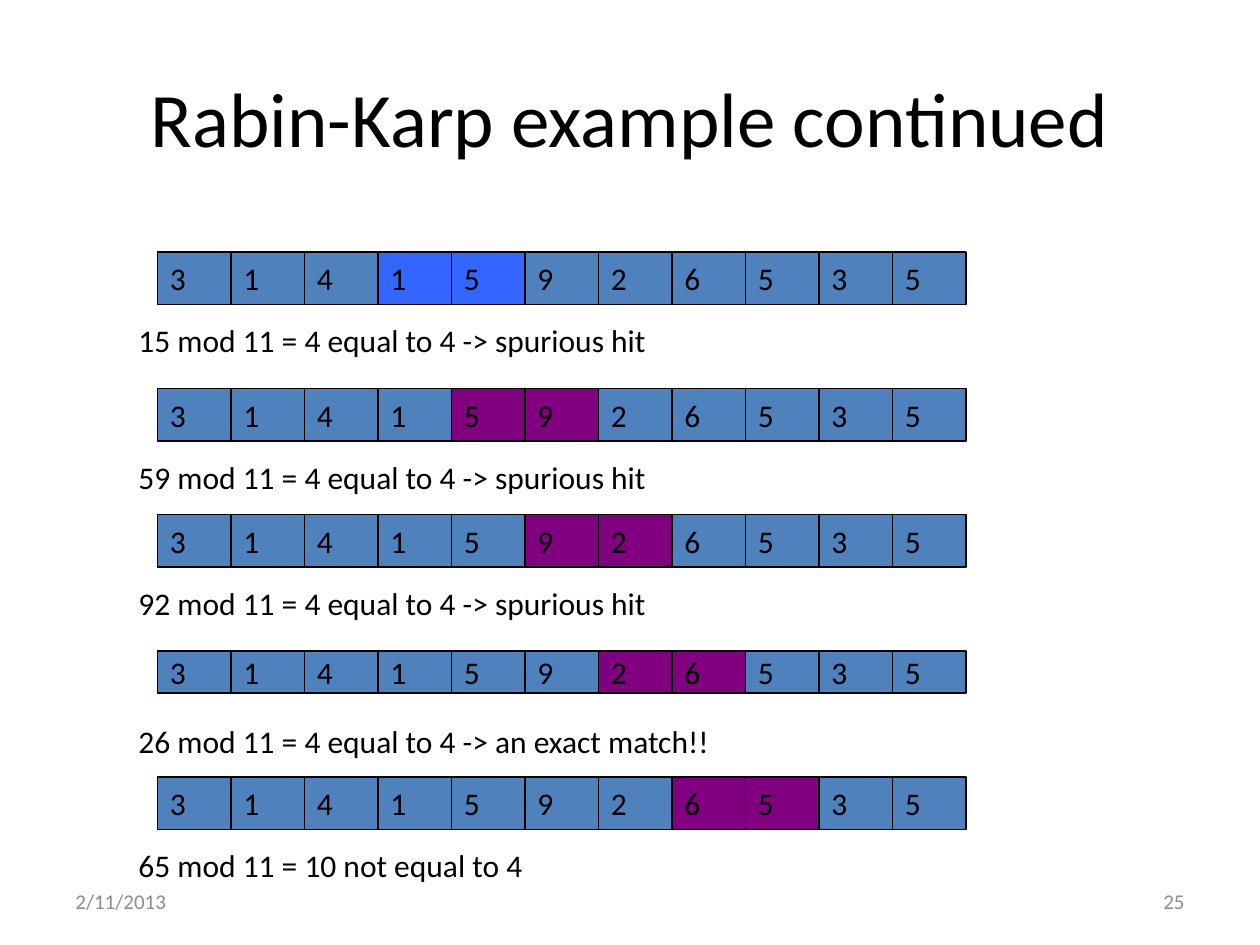
from dataclasses import dataclass

from pptx import Presentation
from pptx.dml.color import RGBColor
from pptx.enum import shapes, text
from pptx.util import Pt


@dataclass(frozen=True)
class Theme:
    font: str = "Calibri"
    title_size: int = 44
    body_size: int = 18
    footer_size: int = 12
    ink: str = "000000"
    muted: str = "8C8C8C"
    cell: str = "4F81BD"
    blue: str = "3366FF"
    purple: str = "800080"


THEME = Theme()
DIGITS = "31415926535"
WINDOW = 2
CELL_WIDTH = 42

# row top, row height, caption top, window start, window colour, caption
STEPS = [
    (144, 30, 180, 3, THEME.blue, "15 mod 11 = 4 equal to 4 -> spurious hit"),
    (222, 30, 258, 4, THEME.purple, "59 mod 11 = 4 equal to 4 -> spurious hit"),
    (294, 30, 330, 5, THEME.purple, "92 mod 11 = 4 equal to 4 -> spurious hit"),
    (372, 24, 409, 6, THEME.purple, "26 mod 11 = 4 equal to 4 -> an exact match!!"),
    (444, 30, 480, 7, THEME.purple, "65 mod 11 = 10 not equal to 4"),
]


def write(sp, words, size, color=THEME.ink, align=text.PP_ALIGN.LEFT,
          anchor=text.MSO_ANCHOR.MIDDLE, wrap=True):
    tf = sp.text_frame
    tf.text = words
    tf.word_wrap = wrap
    tf.vertical_anchor = anchor
    p = tf.paragraphs[0]
    p.alignment = align
    font = p.runs[0].font
    font.name = THEME.font
    font.size = Pt(size)
    font.color.rgb = RGBColor.from_string(color)


def add_label(s, box, words, size, **style):
    sp = s.shapes.add_textbox(*map(Pt, box))
    write(sp, words, size, **style)


def add_cell(s, box, digit, fill):
    sp = s.shapes.add_shape(shapes.MSO_SHAPE.RECTANGLE, *map(Pt, box))
    sp.shadow.inherit = False
    sp.fill.solid()
    sp.fill.fore_color.rgb = RGBColor.from_string(fill)
    sp.line.color.rgb = RGBColor.from_string(THEME.ink)
    sp.line.width = Pt(0.75)
    write(sp, digit, THEME.body_size, wrap=False)


def add_digit_row(s, box, start, window_color):
    """Draw all digits in equal cells, colouring the window that begins at start."""
    left, top, width, height = box
    step = width / len(DIGITS)
    for i, digit in enumerate(DIGITS):
        fill = window_color if start <= i < start + WINDOW else THEME.cell
        add_cell(s, (left + i * step, top, step, height), digit, fill)


def add_footer(s, box, date, number):
    left, top, width, height = box
    part = 168
    add_label(s, (left, top, part, height), date, THEME.footer_size, color=THEME.muted)
    add_label(s, (left + width - part, top, part, height), number, THEME.footer_size,
              color=THEME.muted, align=text.PP_ALIGN.RIGHT)


def main():
    prs = Presentation()
    prs.slide_width, prs.slide_height = Pt(720), Pt(540)
    s = prs.slides.add_slide(prs.slide_layouts[6])
    add_label(s, (36, 21.6, 648, 90), "Rabin-Karp example continued",
              THEME.title_size, align=text.PP_ALIGN.CENTER)
    for top, height, caption_top, start, color, caption in STEPS:
        add_digit_row(s, (90, top, CELL_WIDTH * len(DIGITS), height), start, color)
        add_label(s, (72, caption_top, 466, 36), caption, THEME.body_size,
                  anchor=text.MSO_ANCHOR.TOP)
    add_footer(s, (36, 500.5, 648, 28.75), "2/11/2013", "25")
    prs.save("out.pptx")


if __name__ == "__main__":
    main()
